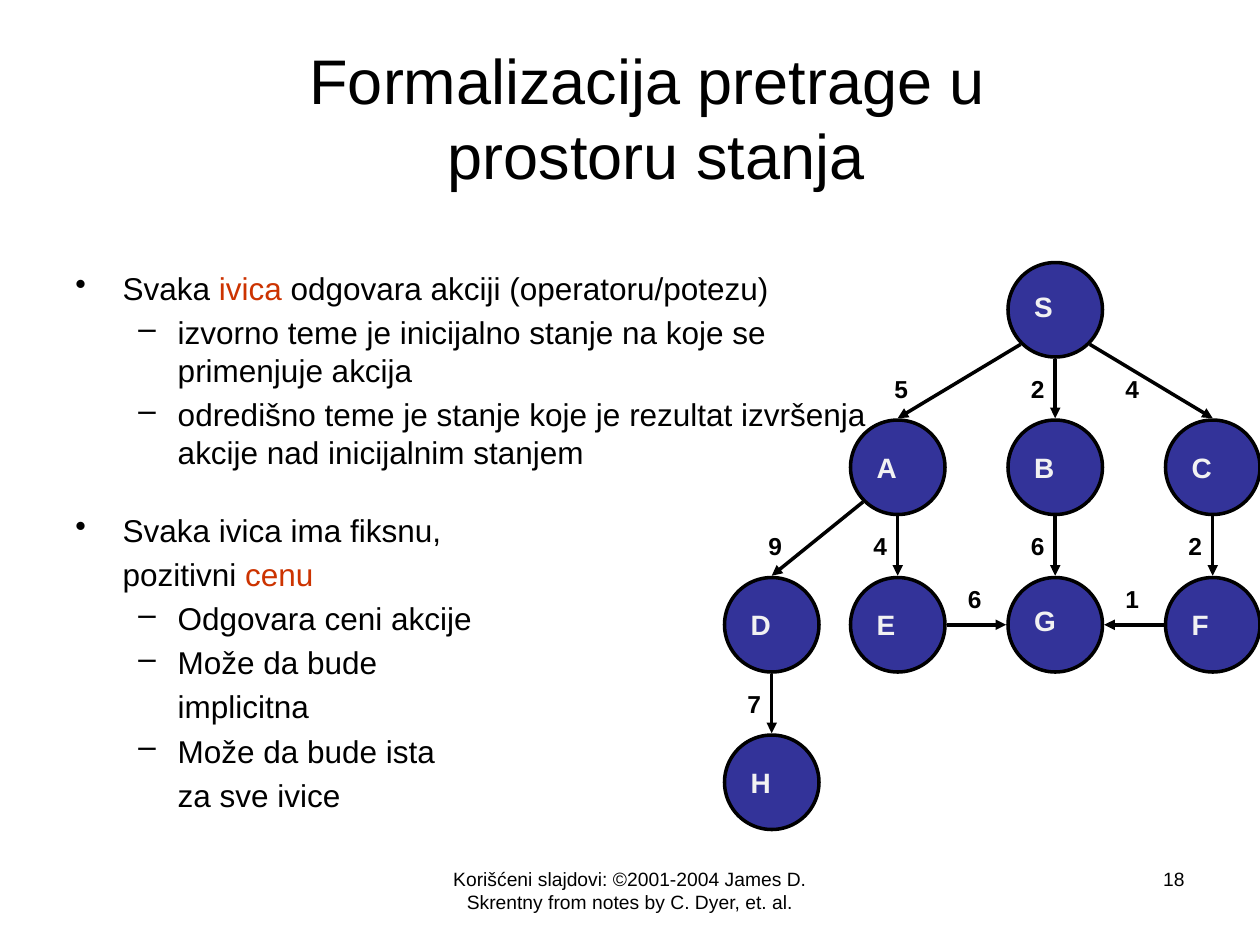
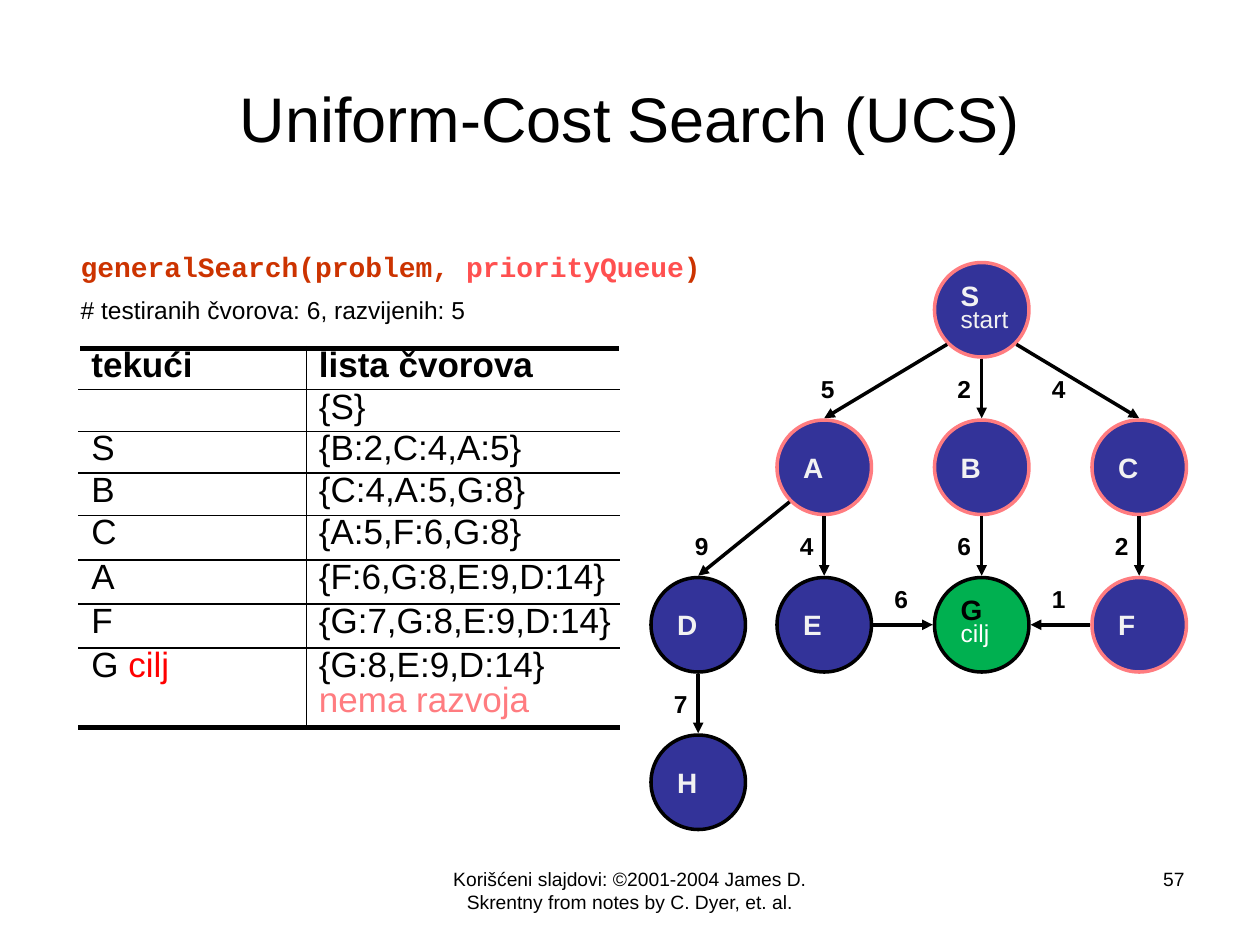
from dataclasses import dataclass
from math import sqrt

from lxml import etree
from pptx import Presentation
from pptx.dml.color import RGBColor
from pptx.enum.shapes import MSO_CONNECTOR, MSO_SHAPE
from pptx.enum.text import MSO_ANCHOR, PP_ALIGN
from pptx.oxml.ns import qn
from pptx.util import Pt

LEFT, CENTER, RIGHT = PP_ALIGN.LEFT, PP_ALIGN.CENTER, PP_ALIGN.RIGHT
TOP, MIDDLE = MSO_ANCHOR.TOP, MSO_ANCHOR.MIDDLE
ELLIPSE, STRAIGHT = MSO_SHAPE.OVAL, MSO_CONNECTOR.STRAIGHT

COLORS = {
    "black": "000000",
    "white": "FFFFFF",
    "node": "333399",
    "node text": "F2F2F2",
    "goal": "00B050",
    "visited": "FF7C80",
    "keyword": "CC3300",
    "queue": "FF5050",
    "red": "FF0000",
}

FOOTER = "Korišćeni slajdovi: ©2001-2004 James D. Skrentny from notes by C. Dyer, et. al."
NODE_SIZE = 54
ARROW_RADIUS = 28
DIAGONAL = 1 / sqrt(2)
SIDES = {
    "top": (0, -1),
    "left": (-1, 0),
    "bottom": (0, 1),
    "right": (1, 0),
    "bottom left": (-DIAGONAL, DIAGONAL),
    "bottom right": (DIAGONAL, DIAGONAL),
}
NODES = {
    "S": (162, 150),
    "A": (72, 240),
    "B": (162, 240),
    "C": (252, 240),
    "D": (0, 330),
    "E": (72, 330),
    "G": (162, 330),
    "F": (252, 330),
    "H": (0, 420),
}
EDGES = [
    ("S", "bottom left", "A", "top", "5", 90, 210),
    ("S", "bottom", "B", "top", "2", 168, 210),
    ("S", "bottom right", "C", "top", "4", 222, 210),
    ("A", "bottom left", "D", "top", "9", 18, 300),
    ("A", "bottom", "E", "top", "4", 78, 300),
    ("B", "bottom", "G", "top", "6", 168, 300),
    ("C", "bottom", "F", "top", "2", 258, 300),
    ("E", "right", "G", "left", "6", 132, 330),
    ("F", "left", "G", "right", "1", 222, 330),
    ("D", "bottom", "H", "top", "7", 6, 390),
]


@dataclass
class Run:
    text: str
    size: float = 18
    color: str = "black"
    bold: bool = False
    font: str = "Arial"


class Deck:
    def __init__(self):
        self.presentation = Presentation()
        self.presentation.slide_width = Pt(720)
        self.presentation.slide_height = Pt(540)
        self.slide = None

    def color(self, name):
        return RGBColor.from_string(COLORS[name])

    def start_slide(self, number, title, title_left):
        layout = self.presentation.slide_layouts[6]
        self.slide = self.presentation.slides.add_slide(layout)
        self.text(246, 492, 228, 37.5, [[Run(FOOTER, 11)]], align=CENTER)
        self.text(516, 492, 168, 37.5, [[Run(number, 11)]], align=RIGHT)
        title_runs = [Run(line, 36) for line in title]
        self.text(title_left, 21.75, 684 - title_left, 90, [title_runs],
                  align=CENTER, anchor=MIDDLE)

    def fill_paragraph(self, paragraph, runs, align=LEFT, spacing=None):
        paragraph.alignment = align
        if spacing:
            paragraph.line_spacing = spacing
        for item in runs:
            if item.text.startswith("\v"):
                paragraph.add_line_break()
            run = paragraph.add_run()
            run.text = item.text.lstrip("\v")
            run.font.name = item.font
            run.font.size = Pt(item.size)
            run.font.bold = item.bold
            run.font.color.rgb = self.color(item.color)

    def fill_frame(self, frame, paragraphs, align=LEFT, spacings=()):
        for index, runs in enumerate(paragraphs):
            paragraph = frame.add_paragraph() if index else frame.paragraphs[0]
            spacing = spacings[index] if index < len(spacings) else None
            self.fill_paragraph(paragraph, runs, align, spacing)

    def text(self, left, top, width, height, paragraphs, align=LEFT,
             anchor=TOP, wrap=True):
        box = self.slide.shapes.add_textbox(Pt(left), Pt(top), Pt(width), Pt(height))
        frame = box.text_frame
        frame.word_wrap = wrap
        frame.vertical_anchor = anchor
        self.fill_frame(frame, paragraphs, align)
        return frame

    def outline(self, left, top, width, height, items):
        frame = self.text(left, top, width, height, [runs for _, _, _, runs in items])
        for paragraph, (level, bullet, space, _) in zip(frame.paragraphs, items):
            margin, hanging = (58.5, 22.5) if level else (27, 27)
            paragraph.level = level
            paragraph.space_before = Pt(space)
            properties = paragraph._p.get_or_add_pPr()
            properties.set("marL", str(Pt(margin)))
            properties.set("indent", str(-Pt(hanging) if bullet else 0))
            if bullet:
                etree.SubElement(properties, qn("a:buChar"), char=bullet)
            else:
                etree.SubElement(properties, qn("a:buNone"))

    def node(self, left, top, paragraphs, spacings, fill, line):
        shape = self.slide.shapes.add_shape(
            ELLIPSE, Pt(left), Pt(top), Pt(NODE_SIZE), Pt(NODE_SIZE))
        shape.shadow.inherit = False
        shape.fill.solid()
        shape.fill.fore_color.rgb = self.color(fill)
        shape.line.color.rgb = self.color(line)
        shape.line.width = Pt(2)
        frame = shape.text_frame
        frame.word_wrap = False
        frame.vertical_anchor = MIDDLE
        self.fill_frame(frame, paragraphs, spacings=spacings)

    def arrow(self, start, end):
        points = [Pt(value) for value in (*start, *end)]
        connector = self.slide.shapes.add_connector(STRAIGHT, *points)
        connector.line.color.rgb = self.color("black")
        connector.line.width = Pt(2)
        line = connector._element.spPr.find(qn("a:ln"))
        etree.SubElement(line, qn("a:tailEnd"), type="triangle")
        etree.SubElement(connector._element.spPr, qn("a:effectLst"))

    def graph(self, left, labels, visited="", goal=""):
        for _, _, _, _, cost, x, y in EDGES:
            self.text(left + x, y, 22.3, 24.5, [[Run(cost, 14, bold=True)]], wrap=False)
        for name, (x, y) in NODES.items():
            default = [[Run(name, 16, "node text", True)]], ()
            paragraphs, spacings = labels.get(name, default)
            self.node(left + x, y, paragraphs, spacings,
                      "goal" if name == goal else "node",
                      "visited" if name in visited else "black")
        for source, source_side, target, target_side, _, _, _ in EDGES:
            self.arrow(self.anchor(left, source, source_side),
                       self.anchor(left, target, target_side))

    def anchor(self, left, name, side):
        x, y = NODES[name]
        across, down = SIDES[side]
        return (left + x + NODE_SIZE / 2 + ARROW_RADIUS * across,
                y + NODE_SIZE / 2 + ARROW_RADIUS * down)

    def border(self, cell, side, width):
        line = etree.SubElement(cell._tc.get_or_add_tcPr(), qn("a:" + side),
                                w=str(Pt(width)))
        fill = etree.SubElement(line, qn("a:solidFill"))
        etree.SubElement(fill, qn("a:srgbClr"), val=COLORS["black"])

    def table(self, left, top, widths, heights, rows):
        shape = self.slide.shapes.add_table(
            len(rows), len(widths), Pt(left), Pt(top), Pt(sum(widths)), Pt(sum(heights)))
        table = shape.table
        table.first_row = table.horz_banding = False
        for column, width in zip(table.columns, widths):
            column.width = Pt(width)
        for row, height in zip(table.rows, heights):
            row.height = Pt(height)
        last = len(rows) - 1
        for row_index, row in enumerate(rows):
            for column_index, runs in enumerate(row):
                cell = table.cell(row_index, column_index)
                cell.margin_left, cell.margin_top = Pt(7.2), Pt(0.7)
                cell.margin_right = cell.margin_bottom = Pt(1.4)
                self.fill_paragraph(cell.text_frame.paragraphs[0], runs, spacing=0.9)
                self.border(cell, "lnL" if column_index else "lnR", 1)
                self.border(cell, "lnT", 1 if row_index else 3)
                self.border(cell, "lnB", 3 if row_index == last else 1)
                cell.fill.background()


def build_state_space(deck):
    deck.start_slide("18", ["Formalizacija pretrage u ", "\vprostoru stanja"], 66)
    deck.outline(36, 150, 474, 345, [
        (0, "•", 3.6, [Run("Svaka "), Run("ivica", color="keyword"),
                       Run(" odgovara akciji (operatoru/potezu)")]),
        (1, "–", 3.6, [Run("izvorno teme je inicijalno stanje na koje se "
                           "primenjuje akcija")]),
        (1, "–", 3.6, [Run("odredišno teme je stanje koje je rezultat izvršenja "
                           "akcije nad inicijalnim stanjem")]),
        (0, "•", 23.3, [Run("Svaka ivica ima fiksnu,")]),
        (0, "", 3.6, [Run("pozitivni "), Run("cenu", color="keyword")]),
        (1, "–", 3.6, [Run("Odgovara ceni akcije")]),
        (1, "–", 3.6, [Run("Može da bude")]),
        (1, "", 3.6, [Run("implicitna")]),
        (1, "–", 3.6, [Run("Može da bude ista")]),
        (1, "", 3.6, [Run("za sve ivice")]),
    ])
    labels = {name: ([[Run(name, 16, "node text", True)]], (spacing,))
              for name, spacing in (("S", 0.75), ("G", 0.65))}
    deck.graph(414, labels)


def build_uniform_cost_search(deck):
    deck.start_slide("57", ["Uniform-Cost Search (UCS)"], 36)
    code = [("generalSearch(problem, ", "keyword"), ("priorityQueue", "queue"),
            (")", "keyword")]
    deck.text(39, 139, 374, 26.6,
              [[Run(text, 16, color, True, "Courier New") for text, color in code]],
              wrap=False)
    deck.text(39, 165, 235, 24.5,
              [[Run("# testiranih čvorova: 6, razvijenih: 5", 14)]], wrap=False)
    steps = [
        ("S", "{B:2,C:4,A:5}"),
        ("B", "{C:4,A:5,G:8}"),
        ("C", "{A:5,F:6,G:8}"),
        ("A", "{F:6,G:8,E:9,D:14}"),
        ("F", "{G:7,G:8,E:9,D:14}"),
    ]
    rows = [
        [[Run(heading, 20, bold=True)] for heading in ("tekući", "lista čvorova")],
        [[], [Run("{S}", 20)]],
        *[[[Run(value, 20)] for value in step] for step in steps],
        [[Run("G ", 20), Run("cilj", 20, "red")],
         [Run("{G:8,E:9,D:14}", 20), Run("\vnema razvoja", 20, "visited")]],
    ]
    deck.table(45, 199, (130, 179), (22.3, 24, 23, 24.3, 25.2, 25.2, 25.2, 42.3), rows)
    deck.graph(372, {
        "S": ([[Run("S", 16, "node text", True), Run("\vstart", 14, "node text")]],
              (0.75,)),
        "G": ([[Run("G", 16, bold=True)], [Run("cilj", 14, "white")]], (0.65, 0.75)),
    }, visited="SABCF", goal="G")


def main():
    deck = Deck()
    build_state_space(deck)
    build_uniform_cost_search(deck)
    deck.presentation.save("out.pptx")


if __name__ == "__main__":
    main()
